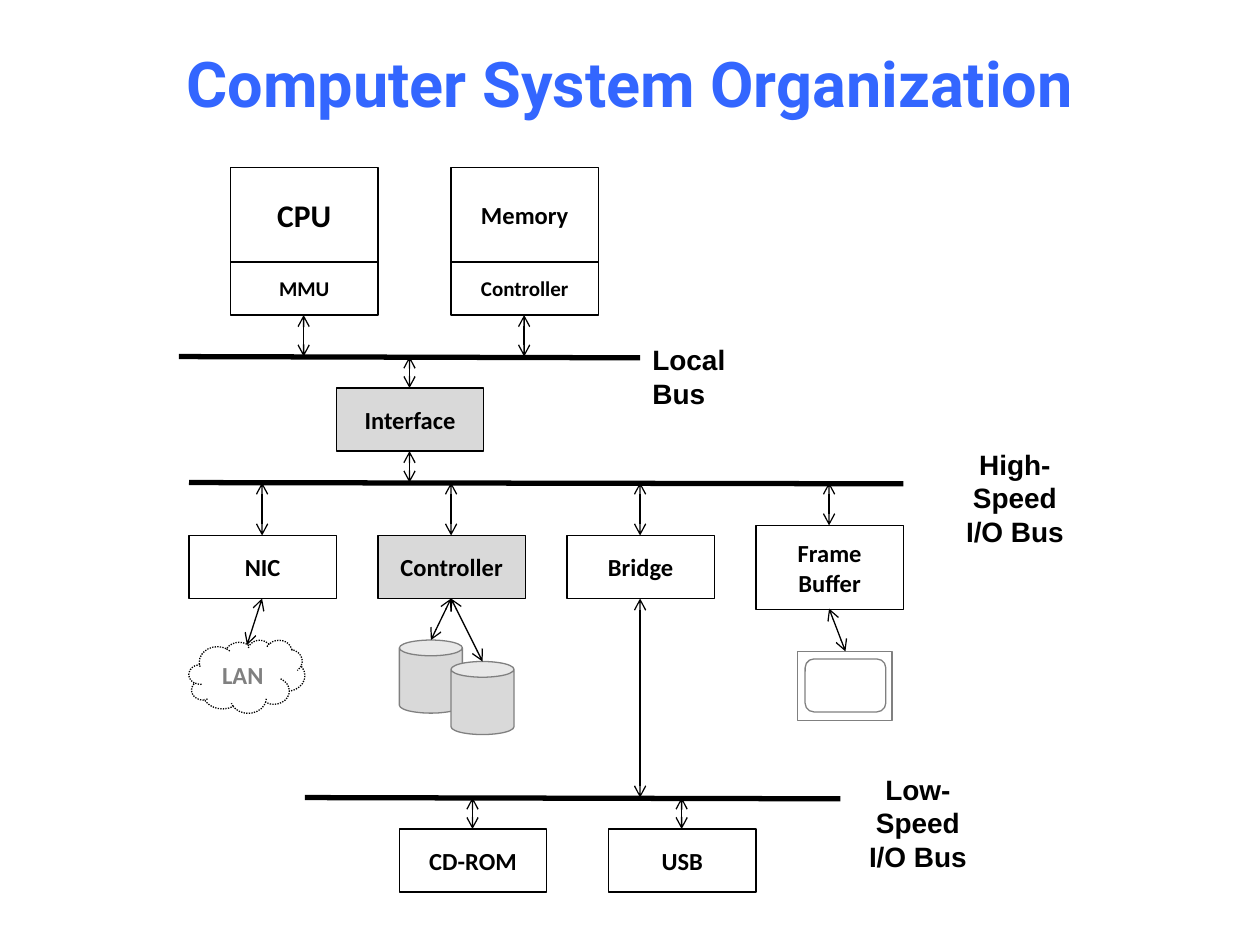
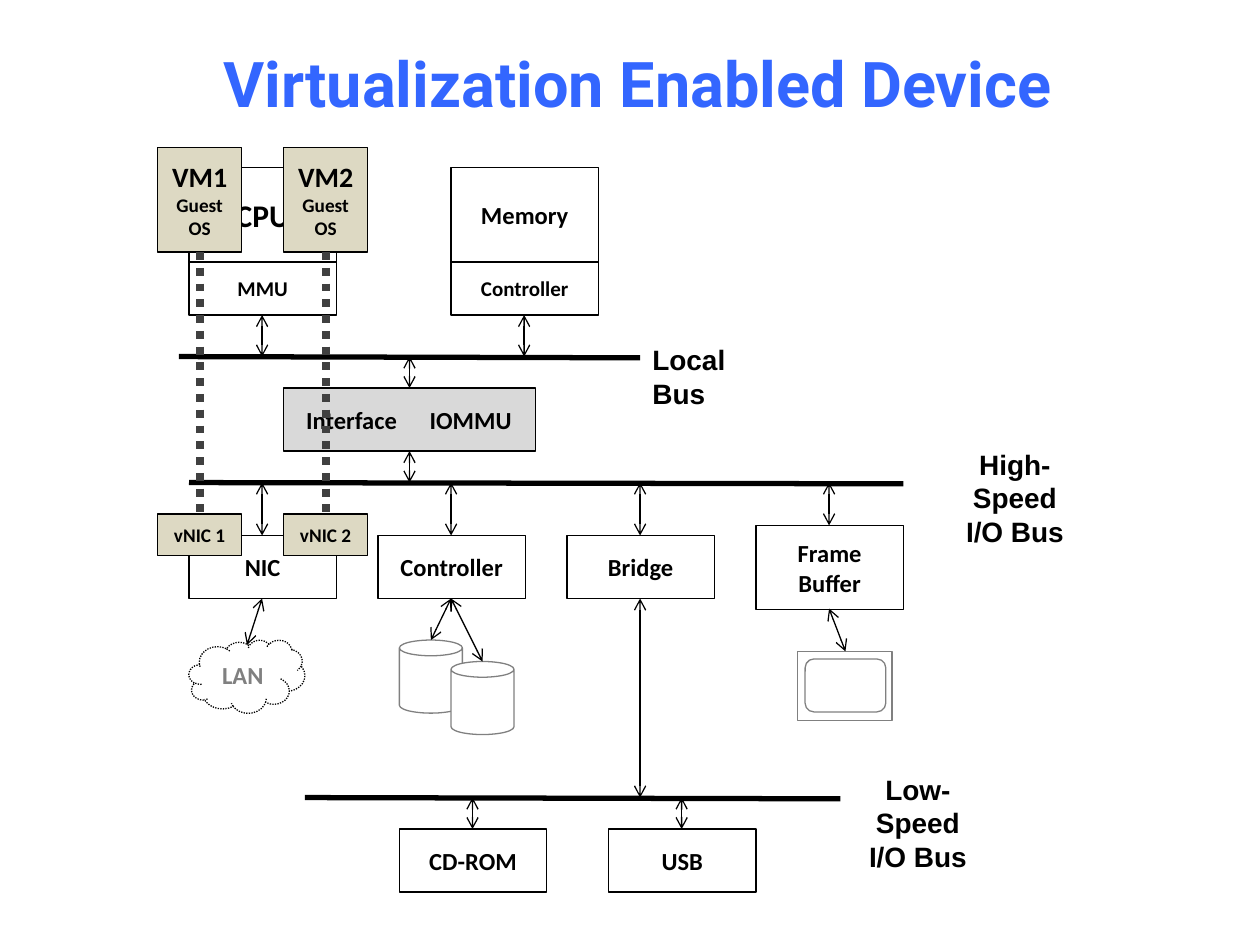
import pptx
import pptx.dml.color
import pptx.enum.dml
import pptx.enum.shapes
import pptx.enum.text
import pptx.oxml
import pptx.oxml.ns
import pptx.util

Inches = pptx.util.Inches
Pt = pptx.util.Pt
RGBColor = pptx.dml.color.RGBColor
Align = pptx.enum.text.PP_ALIGN
Anchor = pptx.enum.text.MSO_ANCHOR
Shape = pptx.enum.shapes.MSO_SHAPE
DOTTED = pptx.enum.dml.MSO_LINE.ROUND_DOT

BLACK = RGBColor(0x00, 0x00, 0x00)
WHITE = RGBColor(0xFF, 0xFF, 0xFF)
TITLE_BLUE = RGBColor(0x33, 0x66, 0xFF)
LIGHT_GRAY = RGBColor(0xD9, 0xD9, 0xD9)
MID_GRAY = RGBColor(0x80, 0x80, 0x80)
DARK_GRAY = RGBColor(0x40, 0x40, 0x40)
VM_BEIGE = RGBColor(0xDD, 0xD9, 0xC3)

BOX_WIDTH, BOX_HEIGHT = 1.17, 0.5
HALF_BOX = 0.58
MEMORY_LEFT = 3.58
CHIP_BOTTOM = 2.5
INTERFACE_TOP = 3.08
DEVICE_LEFT, DEVICE_STEP, DEVICE_TOP = 1.5, 1.5, 4.25
PERIPHERAL_TOP = 6.58
LOCAL_BUS, HIGH_SPEED_BUS, LOW_SPEED_BUS = 2.83, 3.83, 6.33


def add_xml(parent, tag, **attributes):
    element = pptx.oxml.parse_xml(f"<{tag} {pptx.oxml.ns.nsdecls('a')}/>")
    for name, value in attributes.items():
        element.set(name, str(value))
    parent.append(element)
    return element


class DiagramDeck:
    def __init__(self):
        self.deck = pptx.Presentation()
        self.deck.slide_width = Inches(10)
        self.deck.slide_height = Inches(7.5)
        self.slide = None

    def new_slide(self, title, left_inset=0.1):
        self.slide = self.deck.slides.add_slide(self.deck.slide_layouts[6])
        box = self.slide.shapes.add_textbox(Inches(0.5), Inches(0.3), Inches(9), Inches(0.7))
        box.text_frame.margin_left = Inches(left_inset)
        box.text_frame.vertical_anchor = Anchor.MIDDLE
        self.set_text(box, [title], [36], TITLE_BLUE, "Roboto")

    def set_text(self, box, lines, sizes, color=BLACK, font="Calibri", align=Align.CENTER):
        """Fill a box with bold text, one paragraph and one size per line."""
        frame = box.text_frame
        frame.word_wrap = True
        frame.text = "\n".join(lines)
        for paragraph, size in zip(frame.paragraphs, sizes):
            paragraph.alignment = align
            for run in paragraph.runs:
                run.font.name = font
                run.font.size = Pt(size)
                run.font.bold = True
                run.font.color.rgb = color

    def shape(self, left, top, width, height, kind=Shape.RECTANGLE, fill=WHITE,
              line=BLACK, group=None):
        shapes = group.shapes if group else self.slide.shapes
        shape = shapes.add_shape(kind, Inches(left), Inches(top), Inches(width), Inches(height))
        shape.shadow.inherit = False
        shape.fill.solid()
        shape.fill.fore_color.rgb = fill
        shape.line.color.rgb = line
        shape.line.width = Pt(0.75)
        return shape

    def box(self, text, left, top, width=BOX_WIDTH, height=BOX_HEIGHT, size=14, fill=WHITE):
        box = self.shape(left, top, width, height, fill=fill)
        self.set_text(box, [text], [size])
        return box

    def label(self, lines, left, top, width, height, align=Align.CENTER):
        box = self.slide.shapes.add_textbox(
            Inches(left), Inches(top), Inches(width), Inches(height))
        self.set_text(box, lines, [16] * len(lines), font="Arial", align=align)

    def line(self, start, end, width, color=BLACK):
        line = self.slide.shapes.add_connector(
            pptx.enum.shapes.MSO_CONNECTOR.STRAIGHT,
            Inches(start[0]), Inches(start[1]), Inches(end[0]), Inches(end[1]))
        line.line.color.rgb = color
        line.line.width = Pt(width)
        add_xml(line._element.spPr, "a:effectLst")
        return line

    def bus(self, left, right, y):
        self.line((left, y), (right, y + 0.01), 3)

    def arrow(self, start, end):
        """Draw a thin line with an open arrowhead at both ends."""
        line = self.line(start, end, 0.75)
        for tag in ("a:headEnd", "a:tailEnd"):
            add_xml(line.line._get_or_add_ln(), tag, type="arrow")

    def vertical_arrow(self, x, top, bottom):
        self.arrow((x, top), (x, bottom))

    def chip(self, name, unit, left, size):
        """Draw a chip with its management unit below it."""
        self.box(name, left, 1.33, height=0.75, size=size)
        self.box(unit, left, 2.08, height=0.42, size=12)

    def screen(self):
        group = self.slide.shapes.add_group_shape()
        self.shape(6.33, 5.17, 0.75, 0.55, line=MID_GRAY, group=group)
        self.shape(6.39, 5.23, 0.64, 0.42, Shape.ROUNDED_RECTANGLE, line=MID_GRAY, group=group)

    def virtual_machine(self, number, left):
        """Draw a machine, its virtual card and the dotted link between them."""
        width, top, bottom, card_top = 0.67, 1.17, 2.0, 4.08
        machine = self.shape(left, top, width, bottom - top, fill=VM_BEIGE)
        self.set_text(machine, [f"VM{number}", "Guest OS"], [16, 11])
        middle = left + width / 2
        link = self.line((middle, bottom), (middle, card_top), 4.5, DARK_GRAY)
        link.line.dash_style = DOTTED
        self.box(f"vNIC {number}", left, card_top, width, 0.33, 11, VM_BEIGE)


def draw_interface(diagram):
    diagram.box("Interface", 2.67, INTERFACE_TOP, fill=LIGHT_GRAY)


def draw_interface_with_iommu(diagram):
    box = diagram.box("Interface\tIOMMU", 2.25, INTERFACE_TOP, width=2, fill=LIGHT_GRAY)
    box.text_frame.margin_left = Inches(0.18)
    paragraph = box.text_frame.paragraphs[0]
    paragraph.alignment = Align.LEFT
    tabs = add_xml(paragraph._p.get_or_add_pPr(), "a:tabLst")
    add_xml(tabs, "a:tab", pos=Inches(0.98), algn="l")


def draw_system(diagram, cpu_left, interface, disk_fill):
    """Draw the parts both slides share; disk_fill also colours the disk controller."""
    diagram.chip("CPU", "MMU", cpu_left, 18)
    diagram.chip("Memory", "Controller", MEMORY_LEFT, 14)
    diagram.bus(1.42, 5.08, LOCAL_BUS)
    diagram.label(["Local Bus"], 5.08, 2.67, 1.06, 0.37, Align.LEFT)
    interface(diagram)
    diagram.bus(1.5, 7.17, HIGH_SPEED_BUS)
    diagram.label(["High-Speed", "I/O Bus"], 7.42, 3.5, 1.27, 0.64)

    devices = [("NIC", WHITE), ("Controller", disk_fill), ("Bridge", WHITE)]
    for index, (name, fill) in enumerate(devices):
        diagram.box(name, DEVICE_LEFT + index * DEVICE_STEP, DEVICE_TOP, fill=fill)
    diagram.box("Frame Buffer", 6, 4.17, height=0.67)

    for left, top in ((3.17, 5.08), (3.58, 5.25)):
        diagram.shape(left, top, 0.5, 0.58, Shape.CAN, disk_fill, MID_GRAY)
    cloud = diagram.shape(1.5, 5.08, 0.92, 0.58, Shape.CLOUD)
    cloud.line.dash_style = DOTTED
    diagram.set_text(cloud, ["LAN"], [14], MID_GRAY)
    diagram.bus(2.42, 6.67, LOW_SPEED_BUS)
    diagram.label(["Low-Speed", "I/O Bus"], 6.67, 6.08, 1.23, 0.64)
    diagram.screen()
    peripherals = {"USB": 4.83, "CD-ROM": 3.17}
    for name, left in peripherals.items():
        diagram.box(name, left, PERIPHERAL_TOP)

    for left in (cpu_left, MEMORY_LEFT):
        diagram.vertical_arrow(left + HALF_BOX, CHIP_BOTTOM, LOCAL_BUS)
    diagram.vertical_arrow(3.25, LOCAL_BUS, INTERFACE_TOP)
    diagram.vertical_arrow(3.25, INTERFACE_TOP + BOX_HEIGHT, HIGH_SPEED_BUS)
    nic, controller, bridge, frame_buffer = [
        DEVICE_LEFT + index * DEVICE_STEP + HALF_BOX for index in range(4)]
    for x in (nic, controller, bridge):
        diagram.vertical_arrow(x, HIGH_SPEED_BUS, DEVICE_TOP)
    diagram.vertical_arrow(frame_buffer, HIGH_SPEED_BUS, 4.17)

    device_bottom = DEVICE_TOP + BOX_HEIGHT
    diagram.arrow((nic, device_bottom), (1.96, 5.12))
    diagram.arrow((controller, device_bottom), (3.42, 5.08))
    diagram.arrow((controller, device_bottom), (3.83, 5.25))
    diagram.vertical_arrow(bridge, device_bottom, LOW_SPEED_BUS)
    diagram.arrow((frame_buffer, 4.83), (6.71, 5.17))
    for left in peripherals.values():
        diagram.vertical_arrow(left + HALF_BOX, PERIPHERAL_TOP, LOW_SPEED_BUS)


def main():
    diagram = DiagramDeck()

    diagram.new_slide("Computer System Organization")
    draw_system(diagram, 1.83, draw_interface, LIGHT_GRAY)

    diagram.new_slide("Virtualization Enabled Device", left_inset=0.22)
    draw_system(diagram, 1.5, draw_interface_with_iommu, WHITE)
    for number, left in ((1, 1.25), (2, 2.25)):
        diagram.virtual_machine(number, left)

    diagram.deck.save("out.pptx")


if __name__ == "__main__":
    main()
